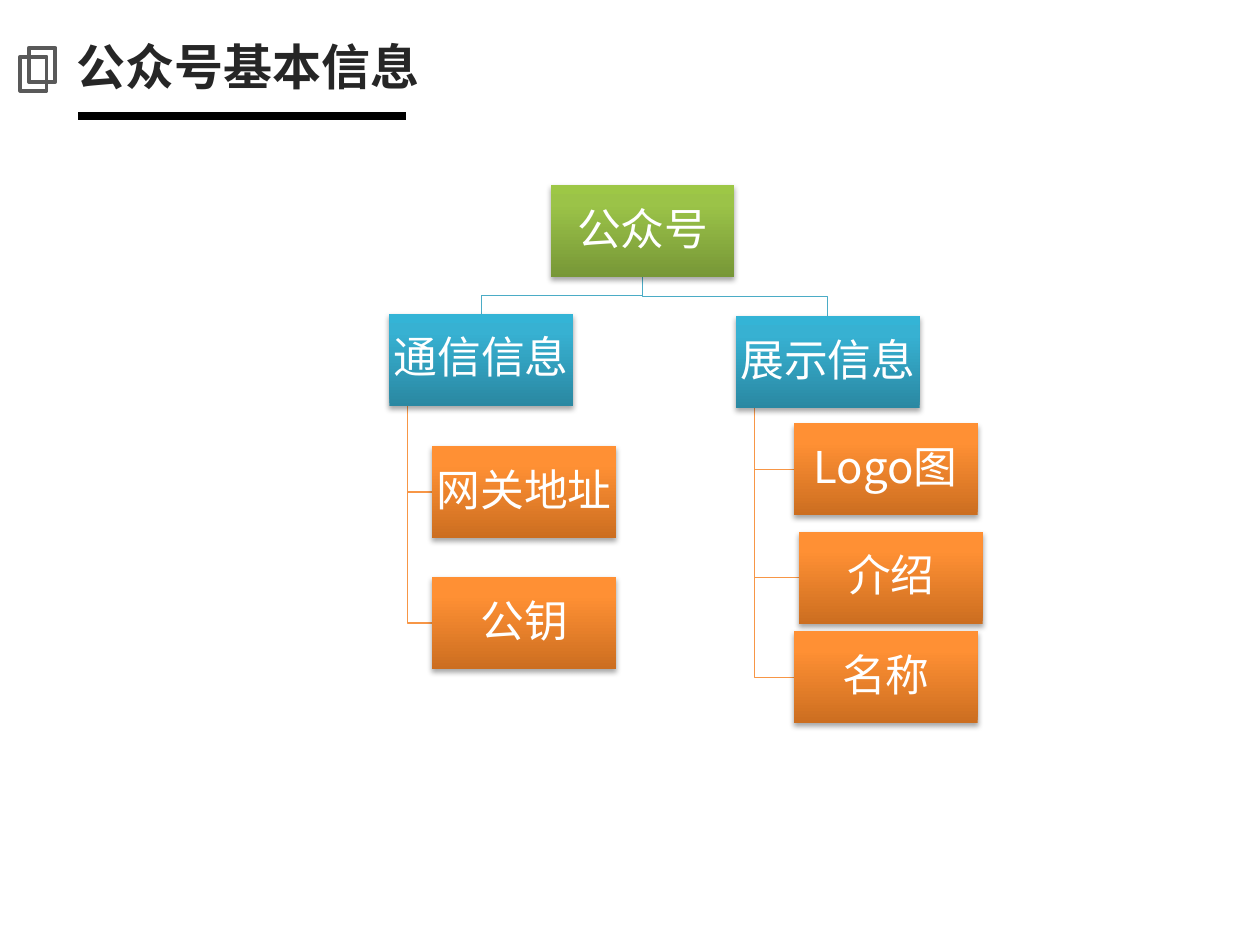
import copy
import pptx
import pptx.dml.color
import pptx.enum.shapes
import pptx.enum.text
import pptx.oxml
import pptx.oxml.ns
import pptx.util

THEME = {
    "font": "Noto Sans CJK SC",
    "title": {"size": 28, "color": "262626", "bold": True},
    "label": {"size": 25, "color": "FFFFFF", "bold": False},
    "rule": {"color": "000000", "width": 4.5},
    "icon": {"color": "595959", "width": 2.25},
    "link_width": 0.75,
    "link": {"branch": "4BACC6", "leaf": "F79646"},
    "gradient": {
        "root": ["779737", "9BC348", "9DC746"],
        "branch": ["2A88A2", "37B1D2", "34B4D6"],
        "leaf": ["CC6E20", "FF9034", "FF9136"],
    },
    "stops": [0, 0.8, 1],
}
SHADOW = (
    '<a:outerShdw xmlns:a="http://schemas.openxmlformats.org/drawingml/2006/main" '
    'blurRad="39370" dist="22860" dir="5400000" rotWithShape="0">'
    '<a:srgbClr val="000000"><a:alpha val="35000"/></a:srgbClr></a:outerShdw>'
)
rgb = pptx.dml.color.RGBColor.from_string
Shape = pptx.enum.shapes.MSO_SHAPE

deck = pptx.Presentation()
deck.slide_width, deck.slide_height = pptx.util.Inches(10), pptx.util.Inches(7.5)
page = deck.slides.add_slide(deck.slide_layouts[6])
COLUMN = deck.slide_width // 100
ROW = deck.slide_height // 75


def grid(*lengths):
    return [round(length * (ROW if index % 2 else COLUMN)) for index, length in enumerate(lengths)]


def write(shape, text, style, frame_format, para_format):
    frame_format = {
        "word_wrap": True,
        "vertical_anchor": pptx.enum.text.MSO_ANCHOR.MIDDLE,
        **frame_format,
    }
    for name, value in frame_format.items():
        setattr(shape.text_frame, name, value)
    para = shape.text_frame.paragraphs[0]
    for name, value in para_format.items():
        setattr(para, name, value)
    span = para.add_run()
    span.text = text
    font_format = {"name": THEME["font"], "size": pptx.util.Pt(style["size"]), "bold": style["bold"]}
    for name, value in font_format.items():
        setattr(span.font, name, value)
    span.font.color.rgb = rgb(style["color"])
    east_asian = pptx.oxml.ns.qn("a:ea")
    span.font._element.makeelement(east_asian)
    latin = span.font._element.find(pptx.oxml.ns.qn("a:latin"))
    latin.addnext(latin.makeelement(east_asian, {"typeface": THEME["font"]}))


rule = page.shapes.add_connector(
    pptx.enum.shapes.MSO_CONNECTOR.STRAIGHT, *grid(6.2, 9.2, 32.2, 9.2)
)
rule.line.color.rgb = rgb(THEME["rule"]["color"])
rule.line.width = pptx.util.Pt(THEME["rule"]["width"])
rule._element.spPr.append(rule._element.makeelement(pptx.oxml.ns.qn("a:effectLst")))

for left, top in [(1.6, 4.5), (2.3, 3.8)]:
    sheet = page.shapes.add_shape(Shape.RECTANGLE, *grid(left, top, 2.1, 2.7))
    sheet.shadow.inherit = False
    sheet.fill.background()
    sheet.line.color.rgb = rgb(THEME["icon"]["color"])
    sheet.line.width = pptx.util.Pt(THEME["icon"]["width"])

title = page.shapes.add_textbox(*grid(5.1, 1.3, 92.1, 7.9))
write(title, "公众号基本信息", THEME["title"], {}, {})

WIDTH, HEIGHT = 14.6, 7.3
nodes = {
    "公众号": ("root", None, 43.7, 14.7),
    "通信信息": ("branch", "公众号", 30.9, 24.9),
    "网关地址": ("leaf", "通信信息", 34.3, 35.4),
    "公钥": ("leaf", "通信信息", 34.3, 45.8),
    "展示信息": ("branch", "公众号", 58.4, 25.1),
    "Logo图": ("leaf", "展示信息", 63, 33.6),
    "介绍": ("leaf", "展示信息", 63.4, 42.2),
    "名称": ("leaf", "展示信息", 63, 50.1),
}

for level, parent, left, top in reversed(nodes.values()):
    if parent is None:
        continue
    parent_left, parent_top = nodes[parent][2:]
    bottom = parent_top + HEIGHT
    if level == "branch":
        start, end, middle = parent_left + WIDTH / 2, left + WIDTH / 2, (bottom + top) / 2
        points = [(start, bottom), (start, middle), (end, middle), (end, top)]
    else:
        start, middle = parent_left + WIDTH / 10, top + HEIGHT / 2
        points = [(start, bottom), (start, middle), (left, middle)]
    corners = [grid(*point) for point in points]
    outline = page.shapes.build_freeform(*corners[0])
    outline.add_line_segments(corners[1:], close=False)
    link = outline.convert_to_shape()
    link.shadow.inherit = False
    link.fill.background()
    link.line.color.rgb = rgb(THEME["link"][level])
    link.line.width = pptx.util.Pt(THEME["link_width"])

inset = pptx.util.Inches(0.02)
margins = {f"margin_{side}": inset for side in ("left", "top", "right", "bottom")}
centred = {"alignment": pptx.enum.text.PP_ALIGN.CENTER, "line_spacing": 0.9}
for label, (level, parent, left, top) in nodes.items():
    box = page.shapes.add_shape(Shape.RECTANGLE, *grid(left, top, WIDTH, HEIGHT))
    box.line.fill.background()
    box.fill.gradient()
    box.fill.gradient_angle = 90
    stop_list = box._element.spPr.find(".//" + pptx.oxml.ns.qn("a:gsLst"))
    stop_list.append(copy.deepcopy(stop_list[0]))
    for stop, position, color in zip(box.fill.gradient_stops, THEME["stops"], THEME["gradient"][level]):
        stop.position = position
        stop.color.rgb = rgb(color)
    box.shadow.inherit = False
    effects = box._element.spPr.find(pptx.oxml.ns.qn("a:effectLst"))
    effects.append(pptx.oxml.parse_xml(SHADOW))
    write(box, label, THEME["label"], margins, centred)

deck.save("out.pptx")
